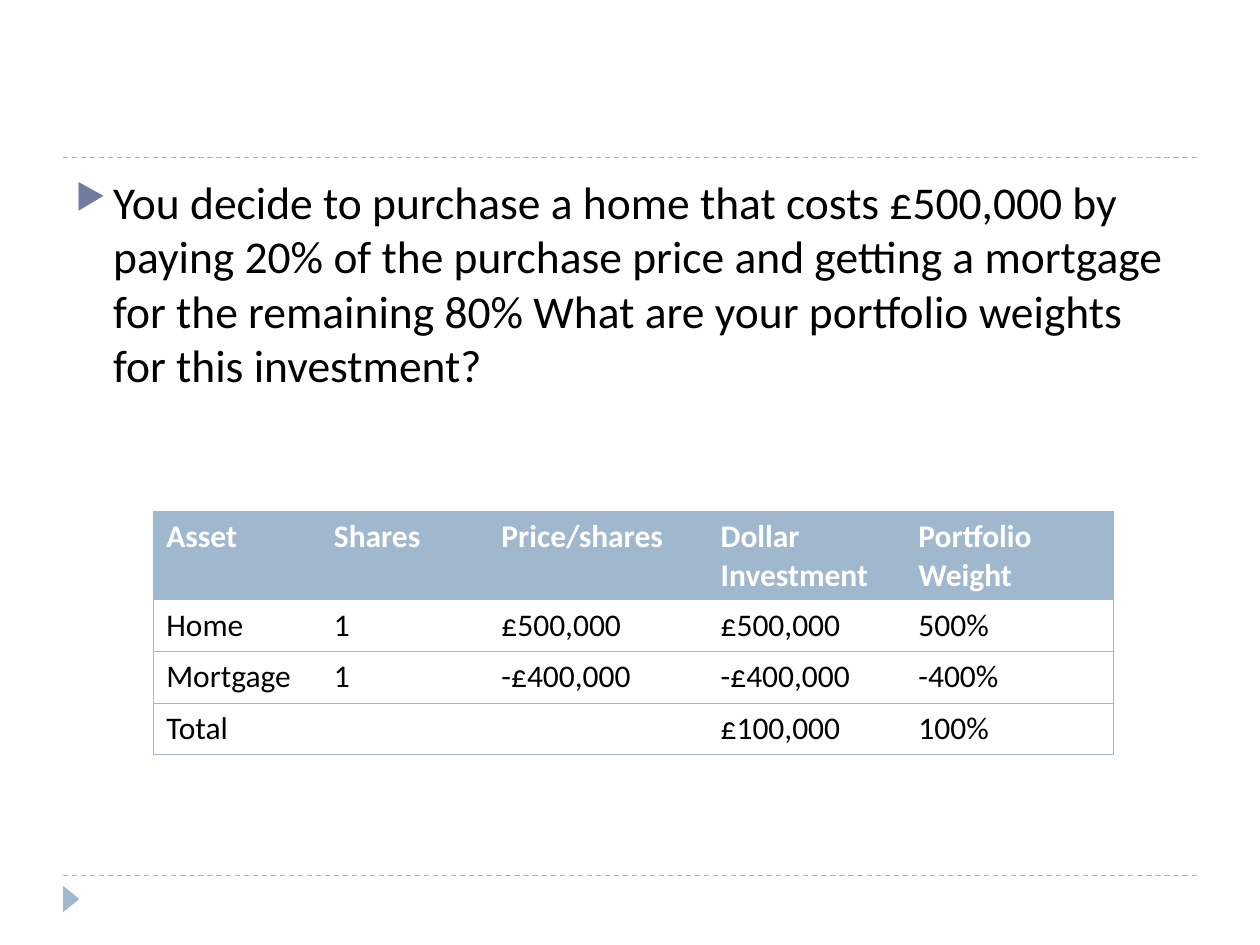
from dataclasses import dataclass

from lxml import etree
from pptx import Presentation
from pptx.dml.color import RGBColor
from pptx.enum.dml import MSO_LINE
from pptx.enum.shapes import MSO_CONNECTOR, MSO_SHAPE
from pptx.oxml.ns import qn
from pptx.util import Inches, Pt

STRAIGHT = MSO_CONNECTOR.STRAIGHT
TRIANGLE = MSO_SHAPE.ISOSCELES_TRIANGLE
DASH = MSO_LINE.DASH
BLANK = 6
COLUMNS, ROWS = 100, 75


@dataclass(frozen=True)
class Theme:
    font: str = "Calibri"
    ink: str = "000000"
    paper: str = "FFFFFF"
    accent: str = "9FB8CD"
    bullet: str = "727CA3"
    body_size: int = 26
    table_size: int = 18
    rule: float = 0.75


class SlideBuilder:
    """Places elements on a grid of 100 columns by 75 rows."""

    def __init__(self, deck, theme):
        self.deck, self.theme = deck, theme
        self.page = deck.slides.add_slide(deck.slide_layouts[BLANK])

    def x(self, columns):
        return round(self.deck.slide_width * columns / COLUMNS)

    def y(self, rows):
        return round(self.deck.slide_height * rows / ROWS)

    def area(self, left, top, width, height):
        return self.x(left), self.y(top), self.x(width), self.y(height)

    def style(self, para, size, color, bold=False):
        font = para.font
        font.name, font.size, font.bold = self.theme.font, Pt(size), bold
        font.color.rgb = RGBColor.from_string(color)

    def dashed_rule(self, left, right, row):
        rule = self.page.shapes.add_connector(
            STRAIGHT, self.x(left), self.y(row), self.x(right), self.y(row))
        rule.line.color.rgb = RGBColor.from_string(self.theme.accent)
        rule.line.width = Pt(self.theme.rule)
        rule.line.dash_style = DASH
        etree.SubElement(rule._element.spPr, qn("a:effectLst"))

    def marker(self, *area):
        marker = self.page.shapes.add_shape(TRIANGLE, *self.area(*area))
        marker.rotation = 90
        marker.shadow.inherit = False
        marker.fill.solid()
        marker.fill.fore_color.rgb = RGBColor.from_string(self.theme.accent)
        marker.line.fill.background()

    def bullet_text(self, text, *area):
        frame = self.page.shapes.add_textbox(*self.area(*area)).text_frame
        frame.word_wrap = True
        para = frame.paragraphs[0]
        para.text = text
        props = para._p.get_or_add_pPr()
        indent = self.x(3)
        props.set("marL", str(indent))
        props.set("indent", str(-indent))
        color = etree.SubElement(props, qn("a:buClr"))
        etree.SubElement(color, qn("a:srgbClr"), val=self.theme.bullet)
        etree.SubElement(props, qn("a:buSzPct"), val="76000")
        etree.SubElement(props, qn("a:buChar"), char="▶")
        self.style(para, self.theme.body_size, self.theme.ink)

    def border(self, cell, side, visible):
        line = etree.SubElement(cell._tc.get_or_add_tcPr(), qn(f"a:ln{side}"),
                                w=str(Pt(self.theme.rule)))
        if visible:
            fill = etree.SubElement(line, qn("a:solidFill"))
            etree.SubElement(fill, qn("a:srgbClr"), val=self.theme.accent)
        else:
            etree.SubElement(line, qn("a:noFill"))

    def table(self, records, left, top, widths, heights):
        theme = self.theme
        table = self.page.shapes.add_table(
            len(records), len(widths),
            *self.area(left, top, sum(widths), sum(heights))).table
        table.first_row = table.horz_banding = False
        for column, width in zip(table.columns, widths):
            column.width = self.x(width)
        for row, height in zip(table.rows, heights):
            row.height = self.y(height)
        last = len(widths) - 1
        for r, record in enumerate(records):
            header = r == 0
            for c, text in enumerate(record):
                cell = table.cell(r, c)
                cell.text = text
                for para in cell.text_frame.paragraphs:
                    self.style(para, theme.table_size,
                               theme.paper if header else theme.ink, header)
                # Outer frame and row rules only, no inner verticals
                for side, visible in (("L", c == 0), ("R", c == last),
                                      ("T", True), ("B", True)):
                    self.border(cell, side, visible)
                if header:
                    cell.fill.solid()
                    cell.fill.fore_color.rgb = RGBColor.from_string(theme.accent)
                else:
                    cell.fill.background()


def main():
    deck = Presentation()
    deck.slide_width, deck.slide_height = Inches(10), Inches(7.5)
    slide = SlideBuilder(deck, Theme())

    # Frame: rules above and below the content, footer marker
    for row in (69.5, 12.5):
        slide.dashed_rule(5, 95, row)
    slide.marker(4.6, 70.7, 2.1, 1.3)

    # Question
    slide.bullet_text(
        "You decide to purchase a home that costs £500,000 by paying 20% of "
        "the purchase price and getting a mortgage for the remaining 80% "
        "What are your portfolio weights for this investment?",
        5, 13.3, 90, 54)

    # Portfolio weights
    slide.table(
        [("Asset", "Shares", "Price/shares", "Dollar\nInvestment",
          "Portfolio\nWeight"),
         ("Home", "1", "£500,000", "£500,000", "500%"),
         ("Mortgage", "1", "-£400,000", "-£400,000", "-400%"),
         ("Total", "", "", "£100,000", "100%")],
        12.2, 40.6, (13.3, 13.3, 17.4, 15.7, 16.5), (7, 4.1, 4.1, 4.1))

    deck.save("out.pptx")


if __name__ == "__main__":
    main()
